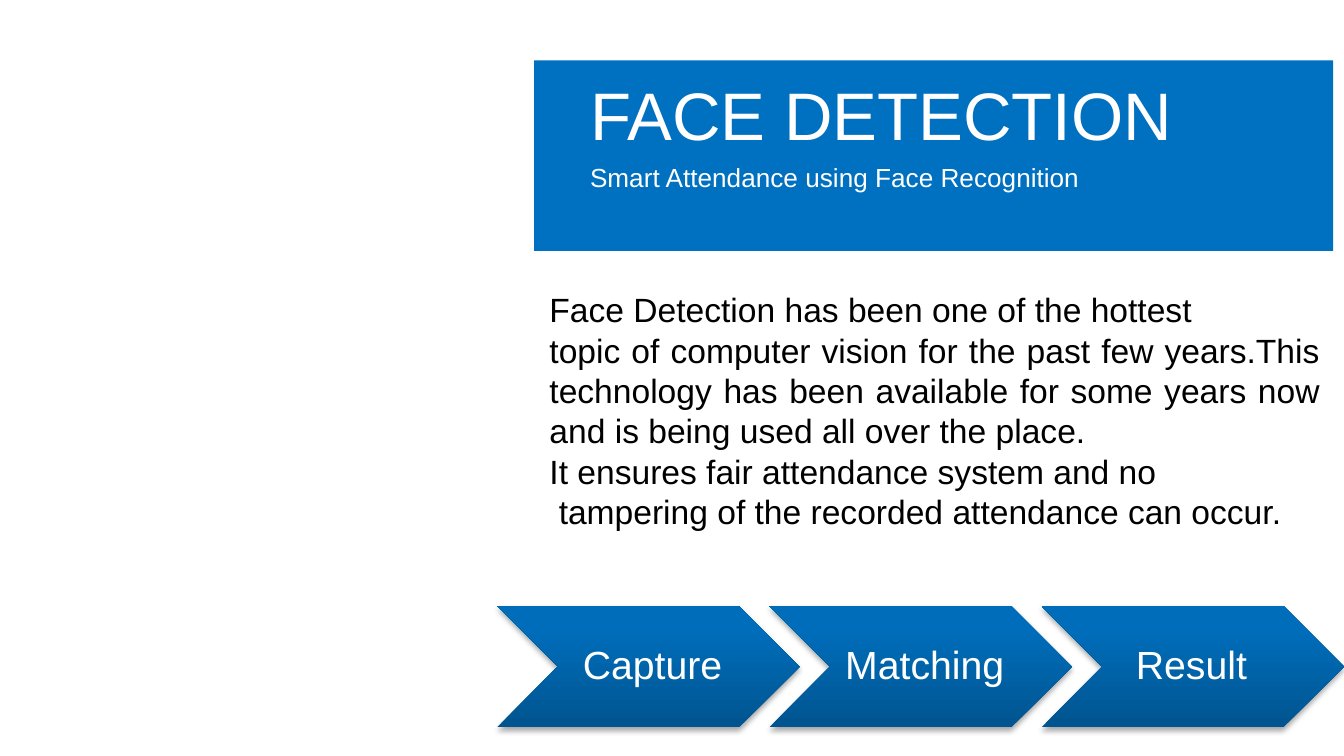
from copy import deepcopy
from dataclasses import dataclass

from lxml import etree
from pptx import Presentation
from pptx import util as u
from pptx.dml.color import RGBColor
from pptx.enum import shapes, text
from pptx.oxml.ns import qn

W = 10
H = W * 9 / 16
FONT = "Arial"
WHITE, BLACK, BLUE = "FFFFFF", "000000", "0070C0"
GRADIENT = [(0, "00548F"), (0.8, "006DBA"), (1, "006DBB")]
STEPS = ["Capture", "Matching", "Result "]
STEP_W, STEP_PITCH = 0.225, 0.2025
DESCRIPTION = [
    "Face Detection has been one of the hottest ",
    "topic of computer vision for the past few years.This technology has been "
    "available for some years now and is being used all over the place.",
    "It ensures fair attendance system and no",
    " tampering of the recorded attendance can occur.",
]


@dataclass
class Box:
    x: float
    y: float
    w: float
    h: float

    def emu(self) -> list[int]:
        return [u.Inches(v) for v in (self.x * W, self.y * H, self.w * W, self.h * H)]


@dataclass
class Style:
    size: float
    color: str
    align: text.PP_ALIGN
    anchor: text.MSO_ANCHOR = text.MSO_ANCHOR.MIDDLE


def rgb(value: str) -> RGBColor:
    return RGBColor.from_string(value)


def write(sp, content: str, style: Style) -> None:
    tf = sp.text_frame
    tf.text = content
    tf.word_wrap = True
    tf.auto_size = text.MSO_AUTO_SIZE.NONE
    tf.vertical_anchor = style.anchor
    for p in tf.paragraphs:
        p.alignment = style.align
        p.space_before = u.Pt(0)
        for r in p.runs:
            r.font.name = FONT
            r.font.size = u.Pt(style.size)
            r.font.color.rgb = rgb(style.color)


def place(sp, box: Box) -> None:
    sp.left, sp.top, sp.width, sp.height = box.emu()


def add_shape(s, kind: shapes.MSO_SHAPE, box: Box):
    sp = s.shapes.add_shape(kind, *box.emu())
    sp.shadow.inherit = False
    sp.line.fill.background()
    return sp


def fill_gradient(sp) -> None:
    sp.fill.gradient()
    sp.fill.gradient_angle = 90
    gs_list = sp._element.spPr.find(qn("a:gradFill")).find(qn("a:gsLst"))
    gs_list.append(deepcopy(gs_list[-1]))
    for stop, (position, color) in zip(sp.fill.gradient_stops, GRADIENT):
        stop.position = position
        stop.color.rgb = rgb(color)


def add_shadow(sp) -> None:
    effects = sp._element.spPr.find(qn("a:effectLst"))
    shadow = etree.SubElement(effects, qn("a:outerShdw"), blurRad=str(u.Pt(3.1)),
                              dist=str(u.Pt(1.8)), dir="5400000", rotWithShape="0")
    color = etree.SubElement(shadow, qn("a:srgbClr"), val=BLACK)
    etree.SubElement(color, qn("a:alpha"), val="35000")


def add_step(s, column: int, label: str) -> None:
    x = 1 - STEP_W - (len(STEPS) - 1 - column) * STEP_PITCH
    sp = add_shape(s, shapes.MSO_SHAPE.CHEVRON, Box(x, 0.802, STEP_W, 0.16))
    fill_gradient(sp)
    add_shadow(sp)
    write(sp, label, Style(21, WHITE, text.PP_ALIGN.CENTER))
    tf = sp.text_frame
    tf.margin_left = u.Inches(0.09)
    tf.margin_right = tf.margin_top = tf.margin_bottom = u.Inches(0.03)
    tf.paragraphs[0].line_spacing = 0.9


def main() -> None:
    prs = Presentation()
    prs.slide_width, prs.slide_height = u.Inches(W), u.Inches(H)
    s = prs.slides.add_slide(prs.slide_layouts[0])

    banner = add_shape(s, shapes.MSO_SHAPE.RECTANGLE, Box(0.3975, 0.08, 0.5945, 0.252))
    banner.fill.solid()
    banner.fill.fore_color.rgb = rgb(BLUE)
    s.shapes._spTree.insert(2, banner._element)

    title, subtitle = s.placeholders
    place(title, Box(0.429, 0.094, 0.571, 0.112))
    write(title, "FACE DETECTION", Style(36, WHITE, text.PP_ALIGN.LEFT))
    place(subtitle, Box(0.429, 0.207, 0.571, 0.055))
    write(subtitle, "Smart Attendance using Face Recognition",
          Style(14, WHITE, text.PP_ALIGN.LEFT))

    body = s.shapes.add_textbox(*Box(0.399, 0.374, 0.593, 0.395).emu())
    write(body, "\n".join(DESCRIPTION),
          Style(18, BLACK, text.PP_ALIGN.JUSTIFY, text.MSO_ANCHOR.TOP))

    for column, label in enumerate(STEPS):
        add_step(s, column, label)
    prs.save("out.pptx")


if __name__ == "__main__":
    main()
